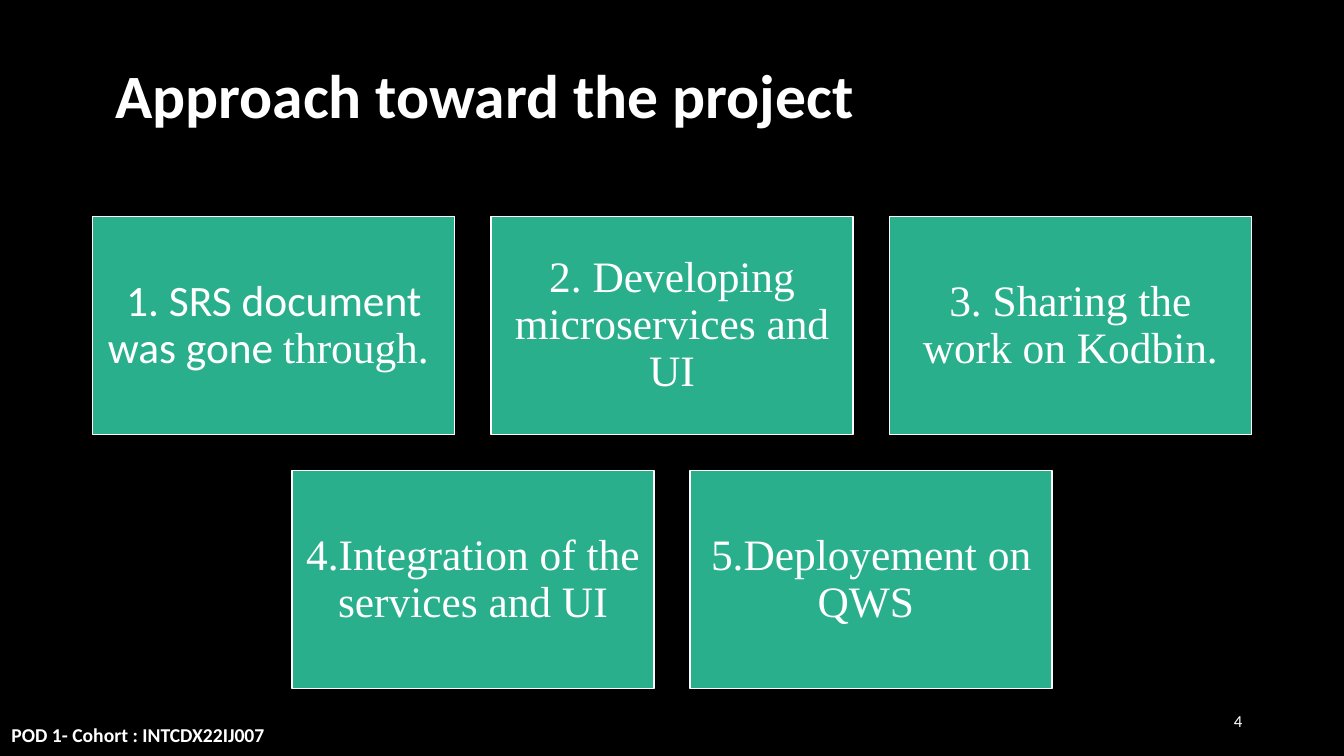
"""Build the slide on the approach toward the project."""
from pptx import Presentation as Deck
from pptx.dml.color import RGBColor as Rgb
from pptx.enum.shapes import MSO_SHAPE as Kind
from pptx.enum.text import MSO_ANCHOR as Anchor, PP_ALIGN as Align
from pptx.util import Inches as Inch, Pt

HUES = {"back": "000000", "card": "29AF8C", "ink": "FFFFFF"}
SANS, SERIF = "Calibri", "Times New Roman"
WIDE, HIGH = 3.59, 2.16
GAP = 0.36
LEFT, TOP = 0.92, 2.15
ROWS = [
    [
        [("1. SRS document was gone ", SANS), ("through. ", SERIF)],
        [("2. Developing microservices and UI", SERIF)],
        [("3. Sharing the work on Kodbin.", SERIF)],
    ],
    [
        [("4.Integration of the services and UI", SERIF)],
        [("5.Deployement on QWS ", SERIF)],
    ],
]


def hue(name):
    return Rgb.from_string(HUES[name])


def write(shape, runs, size, bold=False, align=Align.CENTER, lead=1.0, inset=None):
    frame = shape.text_frame
    frame.word_wrap = True
    frame.vertical_anchor = Anchor.MIDDLE
    if inset is not None:
        frame.margin_left = frame.margin_right = Inch(inset)
        frame.margin_top = frame.margin_bottom = Inch(inset)
    para = frame.paragraphs[0]
    para.alignment = align
    para.line_spacing = lead
    for text, face in runs:
        run = para.add_run()
        run.text = text
        font = run.font
        font.name, font.size, font.bold = face, Pt(size), bold
        font.color.rgb = hue("ink")


def label(slide, box, text, size, **form):
    shape = slide.shapes.add_textbox(*map(Inch, box))
    write(shape, [(text, SANS)], size, **form)


def card(slide, col, row, runs):
    left = LEFT + col * (WIDE + GAP)
    top = TOP + row * (HIGH + GAP)
    shape = slide.shapes.add_shape(
        Kind.RECTANGLE, *map(Inch, (left, top, WIDE, HIGH)))
    shape.shadow.inherit = False
    shape.fill.solid()
    shape.fill.fore_color.rgb = hue("card")
    shape.line.color.rgb = hue("ink")
    shape.line.width = Pt(1)
    write(shape, runs, 31, lead=0.9, inset=0.13)


def main():
    deck = Deck()
    deck.slide_width, deck.slide_height = Inch(13.33), Inch(7.5)
    slide = deck.slides.add_slide(deck.slide_layouts[6])
    fill = slide.background.fill
    fill.solid()
    fill.fore_color.rgb = hue("back")
    label(slide, (-0.94, 0.36, 11.5, 1.24), "Approach toward the project",
          44, bold=True, lead=0.9)
    most = max(map(len, ROWS))
    for row, steps in enumerate(ROWS):
        start = (most - len(steps)) / 2
        for col, runs in enumerate(steps):
            card(slide, start + col, row, runs)
    label(slide, (-0.88, 7.08, 4.5, 0.42), "POD 1- Cohort : INTCDX22IJ007",
          14, bold=True)
    label(slide, (9.42, 6.95, 3, 0.4), "4", 12, align=Align.RIGHT)
    deck.save("out.pptx")


if __name__ == "__main__":
    main()
